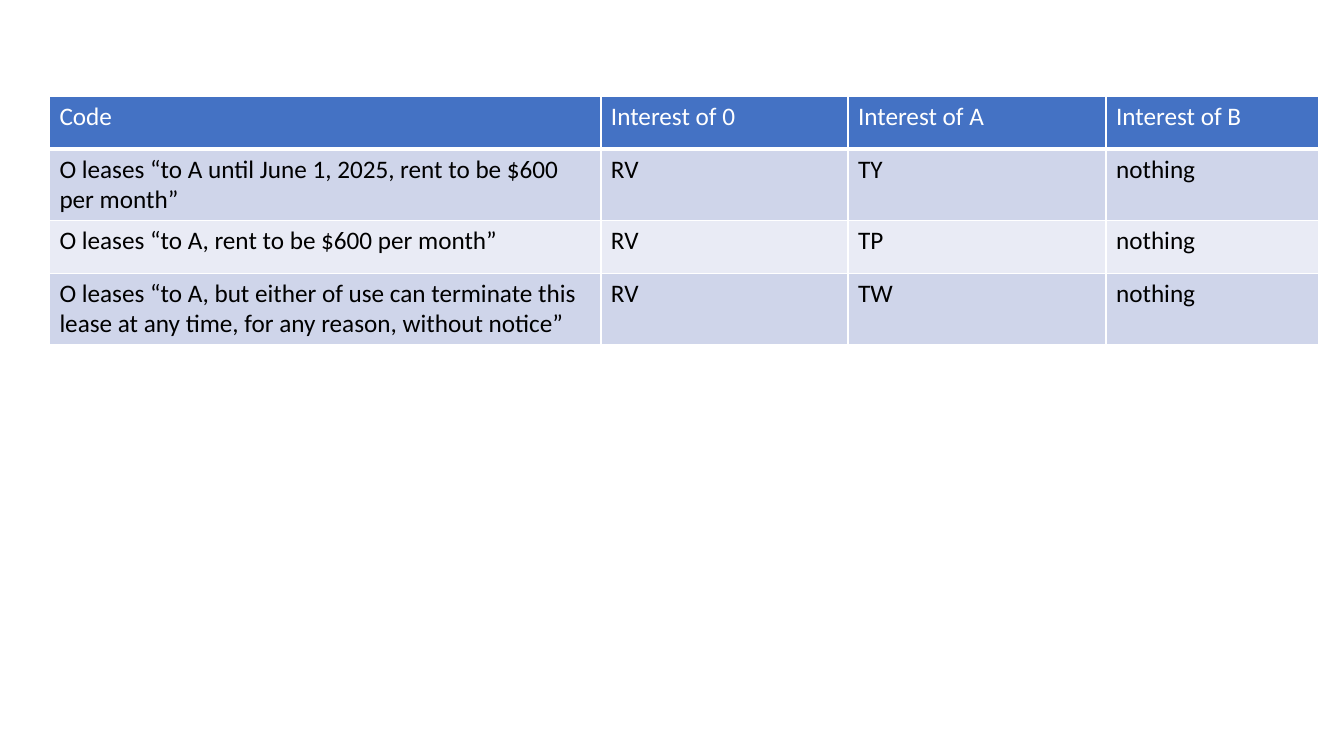
from dataclasses import dataclass

from lxml import etree
from pptx import Presentation, util as u
from pptx.dml.color import RGBColor
from pptx.oxml.ns import qn


@dataclass(frozen=True)
class Theme:
    font: str = "Calibri"
    size: int = 18
    header_fill: str = "4472C4"
    header_text: str = "FFFFFF"
    body_text: str = "000000"
    bands: tuple = ("CFD5EA", "E9EBF5")
    border: str = "FFFFFF"
    border_pt: int = 1
    header_rule_pt: int = 3


THEME = Theme()
COLUMN_WIDTHS = (5.47, 2.45, 2.56, 2.11)
LEASES = (
    ("Code", "Interest of 0", "Interest of A", "Interest of B"),
    ("O leases “to A until June 1, 2025, rent to be $600 per month”",
     "RV", "TY", "nothing"),
    ("O leases “to A, rent to be $600 per month”", "RV", "TP", "nothing"),
    ("O leases “to A, but either of use can terminate this lease at any time, "
     "for any reason, without notice”", "RV", "TW", "nothing"),
)


def set_borders(cell, widths):
    """Draw the borders; widths maps a side (L, R, T, B) to points."""
    tc_pr = cell._tc.get_or_add_tcPr()
    for side, points in widths.items():
        ln = etree.SubElement(tc_pr, qn(f"a:ln{side}"), w=str(u.Pt(points)))
        fill = etree.SubElement(ln, qn("a:solidFill"))
        etree.SubElement(fill, qn("a:srgbClr"), val=THEME.border)


def fill_cell(cell, content, row):
    header = row == 0
    widths = dict.fromkeys("LRTB", THEME.border_pt)
    if header:
        widths["B"] = THEME.header_rule_pt
    elif row == 1:
        widths["T"] = THEME.header_rule_pt
    set_borders(cell, widths)

    color = THEME.header_fill if header else THEME.bands[(row - 1) % 2]
    cell.fill.solid()
    cell.fill.fore_color.rgb = RGBColor.from_string(color)

    cell.text_frame.text = content
    font = cell.text_frame.paragraphs[0].runs[0].font
    font.name, font.size, font.bold = THEME.font, u.Pt(THEME.size), False
    font.color.rgb = RGBColor.from_string(
        THEME.header_text if header else THEME.body_text)


def add_lease_table(slide, left, top, width, height):
    table = slide.shapes.add_table(
        len(LEASES), len(COLUMN_WIDTHS), left, top, width, height).table
    for column, share in zip(table.columns, COLUMN_WIDTHS):
        column.width = round(width * share / sum(COLUMN_WIDTHS))
    for r, lease in enumerate(LEASES):
        for c, content in enumerate(lease):
            fill_cell(table.cell(r, c), content, r)


def main():
    prs = Presentation()
    prs.slide_width, prs.slide_height = u.Inches(13.33), u.Inches(7.5)
    slide = prs.slides.add_slide(prs.slide_layouts[6])
    add_lease_table(slide, u.Inches(0.49), u.Inches(0.96),
                    u.Inches(sum(COLUMN_WIDTHS)), u.Inches(2.08))
    prs.save("out.pptx")


if __name__ == "__main__":
    main()
